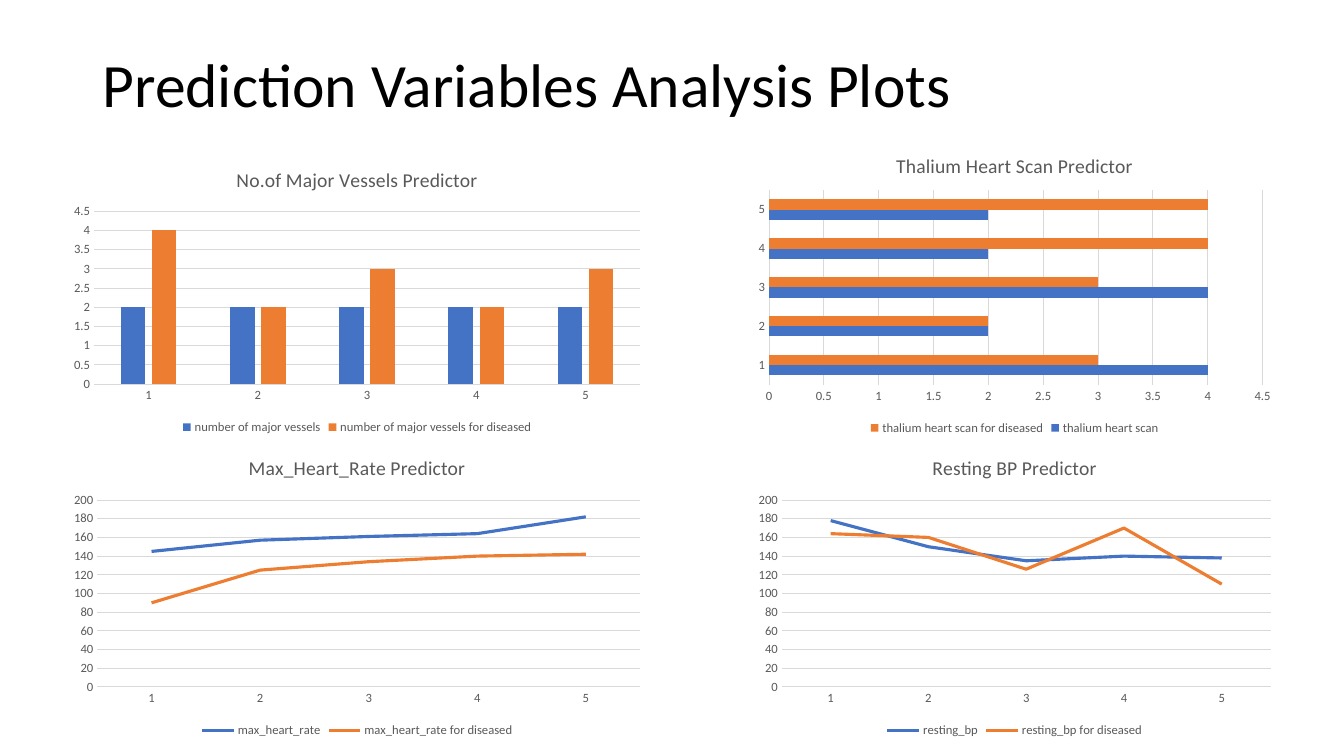
from pptx import Presentation
from pptx import util as u
from pptx.chart.data import CategoryChartData
from pptx.dml.color import RGBColor
from pptx.enum import chart as ch, text

FONT, GREY, GRID = "Calibri", "595959", "D9D9D9"
SERIES_COLOURS = ("4472C4", "ED7D31")
COLUMNS = ((1.57, 14.86), (18.85, 13.44))
LOWER_TOP, LOWER_HEIGHT = 11.07, 7.62


def apply(target, values):
    """Set each attribute of the target from a dict."""
    for name, value in values.items():
        setattr(target, name, value)


def paint(colour_format, colour):
    """Give a colour format the hex colour."""
    colour_format.rgb = RGBColor.from_string(colour)


def style_font(font, size, colour):
    """Give a font the deck typeface, a size and a colour."""
    apply(font, {"name": FONT, "size": u.Pt(size), "bold": False})
    paint(font.color, colour)


def style_line(line, colour, width):
    """Draw a solid line of the given colour and width."""
    line.width = u.Pt(width)
    line.fill.solid()
    paint(line.fill.fore_color, colour)


def add_heading(slide, wording):
    """Place and format the slide title."""
    heading = slide.shapes.title
    apply(heading, {"left": u.Cm(2.33), "top": u.Cm(0.36),
                    "width": u.Cm(29.21), "height": u.Cm(3.68)})
    frame = heading.text_frame
    apply(frame, {"text": wording, "word_wrap": True,
                  "vertical_anchor": text.MSO_ANCHOR.MIDDLE})
    paragraph = frame.paragraphs[0]
    apply(paragraph, {"alignment": text.PP_ALIGN.LEFT, "line_spacing": 0.9})
    style_font(paragraph.runs[0].font, 44, "000000")


def style_axes(chart):
    """Format both axes and the value gridlines."""
    for axis in (chart.category_axis, chart.value_axis):
        apply(axis, {"major_tick_mark": ch.XL_TICK_MARK.NONE,
                     "minor_tick_mark": ch.XL_TICK_MARK.NONE})
        style_font(axis.tick_labels.font, 9, GREY)
    style_line(chart.category_axis.format.line, GRID, 0.75)
    chart.value_axis.has_major_gridlines = True
    chart.value_axis.format.line.fill.background()
    style_line(chart.value_axis.major_gridlines.format.line, GRID, 0.75)


def style_series(series, colour, is_line):
    """Colour one series as a line or as bars."""
    if is_line:
        series.smooth = False
        series.marker.style = ch.XL_MARKER_STYLE.NONE
        style_line(series.format.line, colour, 2.25)
    else:
        series.invert_if_negative = False
        series.format.fill.solid()
        paint(series.format.fill.fore_color, colour)


def add_predictor(slide, kind, area, title, readings, spacing):
    """Add one predictor chart with its title, axes and legend."""
    data = CategoryChartData()
    data.categories = [str(number) for number in range(1, 6)]
    for name, values in readings.items():
        data.add_series(name, values)
    chart = slide.shapes.add_chart(kind, *map(u.Cm, area), data).chart
    style_font(chart.font, 10, "000000")
    chart.has_title = True
    chart.chart_title.include_in_layout = False
    chart.chart_title.text_frame.text = title
    style_font(chart.chart_title.text_frame.paragraphs[0].runs[0].font, 14, GREY)
    chart.has_legend = True
    apply(chart.legend, {"position": ch.XL_LEGEND_POSITION.BOTTOM,
                         "include_in_layout": False})
    style_font(chart.legend.font, 9, GREY)
    style_axes(chart)
    plot = chart.plots[0]
    apply(plot, {"vary_by_categories": False, **spacing})
    for series, colour in zip(plot.series, SERIES_COLOURS):
        style_series(series, colour, kind == ch.XL_CHART_TYPE.LINE)


def main():
    """Build the slide and save it."""
    deck = Presentation()
    apply(deck, {"slide_width": u.Cm(33.87), "slide_height": u.Cm(19.05)})
    slide = deck.slides.add_slide(deck.slide_layouts[5])
    add_heading(slide, "Prediction Variables Analysis Plots")
    (left, left_width), (right, right_width) = COLUMNS
    kinds = ch.XL_CHART_TYPE
    add_predictor(slide, kinds.COLUMN_CLUSTERED, (left, 3.81, left_width, 7.24),
                  "No.of Major Vessels Predictor",
                  {"number of major vessels": (2, 2, 2, 2, 2),
                   "number of major vessels for diseased": (4, 2, 3, 2, 3)},
                  {"gap_width": 219, "overlap": -27})
    add_predictor(slide, kinds.BAR_CLUSTERED, (right, 3.45, right_width, 7.62),
                  "Thalium Heart Scan Predictor",
                  {"thalium heart scan": (4, 2, 4, 2, 2),
                   "thalium heart scan for diseased": (3, 2, 3, 4, 4)},
                  {"gap_width": 182})
    add_predictor(slide, kinds.LINE, (left, LOWER_TOP, left_width, LOWER_HEIGHT),
                  "Max_Heart_Rate Predictor",
                  {"max_heart_rate": (145, 157, 161, 164, 182),
                   "max_heart_rate for diseased": (90, 125, 134, 140, 142)}, {})
    add_predictor(slide, kinds.LINE, (right, LOWER_TOP, right_width, LOWER_HEIGHT),
                  "Resting BP Predictor",
                  {"resting_bp": (178, 150, 135, 140, 138),
                   "resting_bp for diseased": (164, 160, 126, 170, 110)}, {})
    deck.save("out.pptx")


if __name__ == "__main__":
    main()
